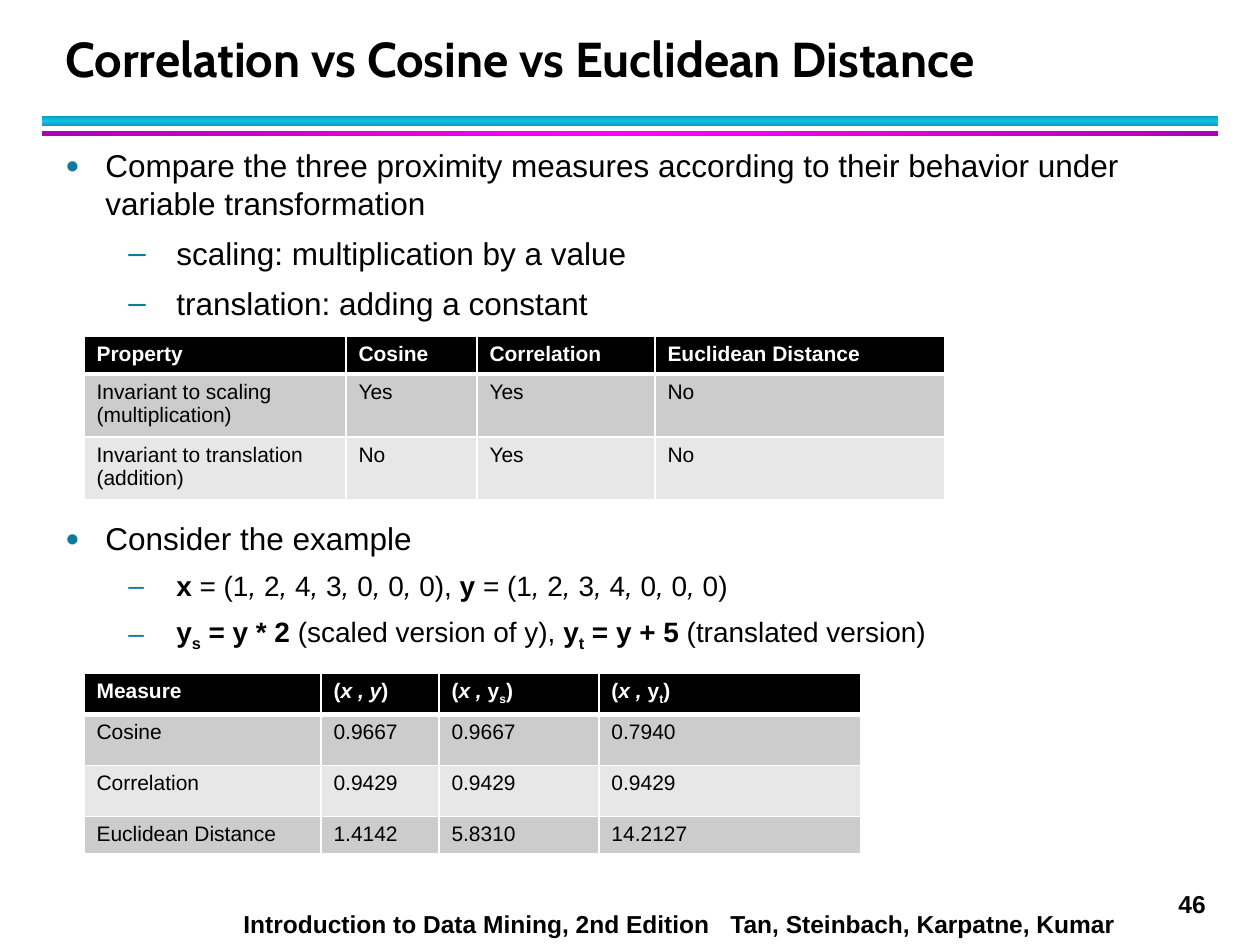
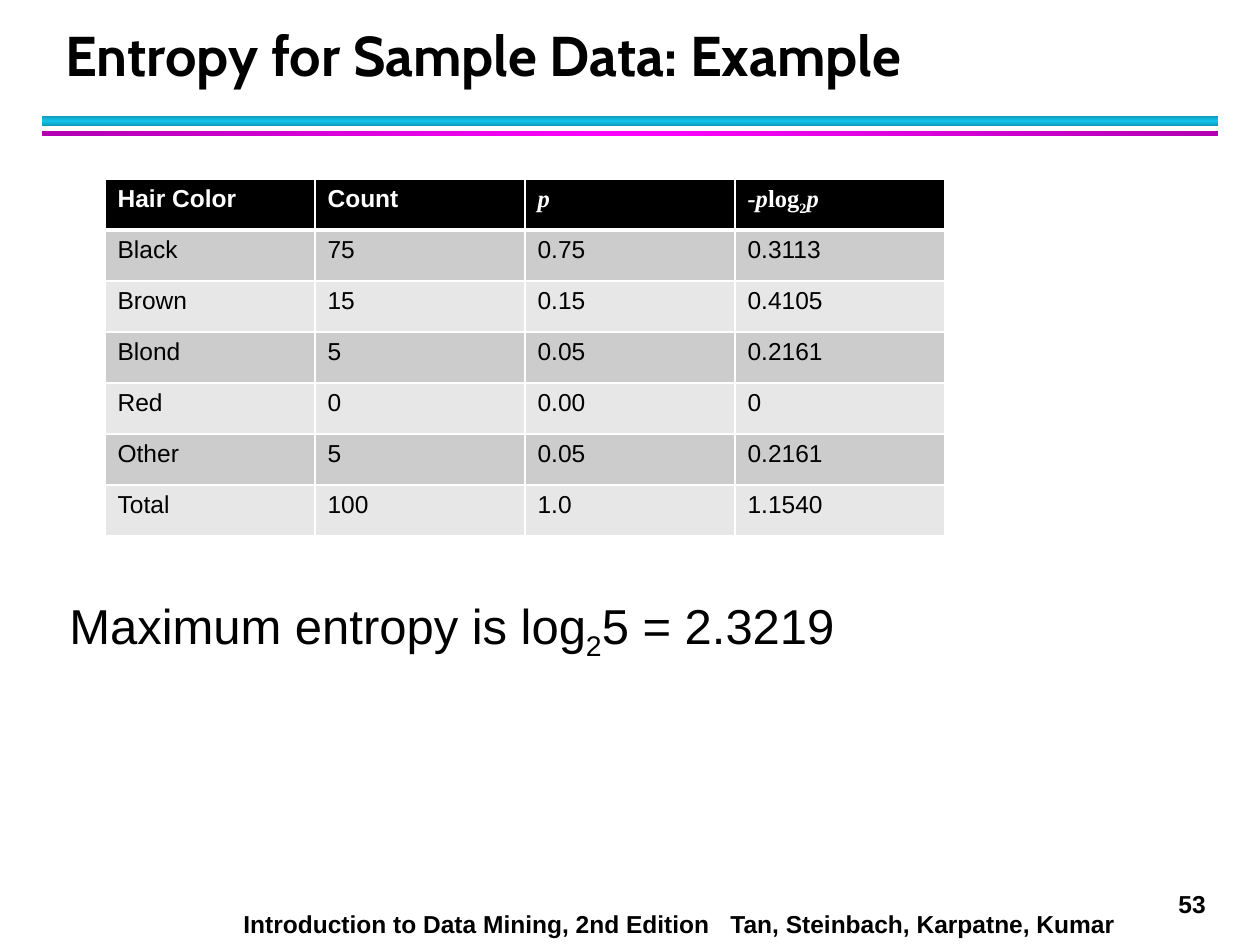
from copy import deepcopy
from dataclasses import dataclass
from typing import NamedTuple, Optional, Union

from lxml import etree
from pptx import Presentation
from pptx import util as u
from pptx.dml.color import RGBColor
from pptx.enum import shapes, text
from pptx.oxml.ns import qn

PX_PER_INCH = 126


def px(length: int) -> u.Emu:
    return u.Emu(round(length * 914400 / PX_PER_INCH))


@dataclass(frozen=True)
class Theme:
    ink: str = "000000"
    paper: str = "FFFFFF"
    bullet: str = "0C7B9C"
    bands: tuple = ("CCCCCC", "E7E7E7")
    cyan: tuple = ("0E9BBA", "12C2E9", "0E9BBA")
    magenta: tuple = ("B200B2", "FF00FF", "B200B2")
    body_font: str = "Arial"
    title_font: str = "Cabin"
    math_font: str = "Times New Roman"
    footer_size: int = 14
    title_leading: int = 36
    rule: int = 1
    header_rule: int = 3


THEME = Theme()


class Box(NamedTuple):
    left: int
    top: int
    width: int
    height: int

    def emu(self) -> list:
        return [px(length) for length in self]


class Run(NamedTuple):
    text: str
    bold: bool = False
    italic: bool = False
    sub: bool = False
    font: Optional[str] = None


Rich = Union[str, tuple]


class Stripe(NamedTuple):
    box: Box
    colors: tuple
    angle: int


class Level(NamedTuple):
    indent: int
    hanging: int
    mark: str
    mark_percent: int


class Point(NamedTuple):
    level: Level
    content: Rich
    size: int = 18


@dataclass(frozen=True)
class Grid:
    left: int
    top: int
    columns: tuple
    rows: tuple
    size: int
    cells: tuple


STRIPES = (
    Stripe(Box(42, 116, 1176, 10), THEME.cyan, 90),
    Stripe(Box(42, 131, 1176, 5), THEME.magenta, 0),
)
TITLE = Box(53, 21, 1142, 73)
PAGE_NUMBER = Box(1166, 883, 55, 43)
FOOTER = Box(231, 903, 924, 43)
AUTHORS_TAB = 487
BEFORE, AFTER = 5, 7

TOPIC = Level(40, 40, "●", 75)
DETAIL = Level(111, 48, "–", 100)


def write(paragraph, content: Rich, *, size: int, color: str = THEME.ink,
          font: str = THEME.body_font, bold: bool = False) -> None:
    """Add plain text or a tuple of Runs to a paragraph."""
    parts = (Run(content),) if isinstance(content, str) else content
    for part in parts:
        run = paragraph.add_run()
        run.text = part.text
        run.font.size = u.Pt(size)
        run.font.name = part.font or font
        run.font.bold = bold or part.bold
        run.font.italic = part.italic
        run.font.color.rgb = RGBColor.from_string(color)
        if part.sub:
            run.font._element.set("baseline", "-25000")


def add_box(slide, box: Box, wrap: bool = True):
    frame = slide.shapes.add_textbox(*box.emu()).text_frame
    frame.word_wrap = wrap
    return frame


def add_stripe(slide, stripe: Stripe) -> None:
    bar = slide.shapes.add_shape(shapes.MSO_SHAPE.RECTANGLE, *stripe.box.emu())
    bar.shadow.inherit = False
    bar.line.fill.background()
    bar.fill.gradient()
    bar.fill.gradient_angle = stripe.angle
    stops = bar._element.spPr.find(".//" + qn("a:gsLst"))
    stops.append(deepcopy(stops[0]))
    for index, (stop, color) in enumerate(zip(bar.fill.gradient_stops, stripe.colors)):
        stop.position = index / 2
        stop.color.rgb = RGBColor.from_string(color)


def add_footer(slide, number: int) -> None:
    page = add_box(slide, PAGE_NUMBER, wrap=False).paragraphs[0]
    write(page, str(number), size=THEME.footer_size, bold=True)
    credit = add_box(slide, FOOTER).paragraphs[0]
    tabs = etree.SubElement(credit._p.get_or_add_pPr(), qn("a:tabLst"))
    etree.SubElement(tabs, qn("a:tab"), pos=str(px(AUTHORS_TAB)), algn="l")
    write(credit, "Introduction to Data Mining, 2nd Edition\tTan, Steinbach, Karpatne, Kumar",
          size=THEME.footer_size, bold=True)


def new_slide(deck, title: str, title_size: int, number: int):
    """Add a slide with the shared title, stripes and footer."""
    slide = deck.slides.add_slide(deck.slide_layouts[6])
    for stripe in STRIPES:
        add_stripe(slide, stripe)
    add_footer(slide, number)
    frame = add_box(slide, TITLE)
    frame.vertical_anchor = text.MSO_ANCHOR.BOTTOM
    heading = frame.paragraphs[0]
    heading.line_spacing = u.Pt(THEME.title_leading)
    write(heading, title, size=title_size, font=THEME.title_font, bold=True)
    return slide


def set_bullet(paragraph, level: Level) -> None:
    properties = paragraph._p.get_or_add_pPr()
    properties.set("marL", str(px(level.indent)))
    properties.set("indent", str(px(-level.hanging)))
    color = etree.SubElement(properties, qn("a:buClr"))
    etree.SubElement(color, qn("a:srgbClr"), val=THEME.bullet)
    etree.SubElement(properties, qn("a:buSzPct"), val=str(level.mark_percent * 1000))
    etree.SubElement(properties, qn("a:buFont"), typeface=THEME.body_font)
    etree.SubElement(properties, qn("a:buChar"), char=level.mark)


def add_points(slide, box: Box, points: tuple) -> None:
    frame = add_box(slide, box)
    for index, point in enumerate(points):
        paragraph = frame.add_paragraph() if index else frame.paragraphs[0]
        set_bullet(paragraph, point.level)
        if index:
            paragraph.space_before = px(BEFORE)
        paragraph.space_after = px(AFTER)
        write(paragraph, point.content, size=point.size)


def set_borders(cell, row: int) -> None:
    widths = {
        "L": THEME.rule,
        "R": THEME.rule,
        "T": THEME.header_rule if row == 1 else THEME.rule,
        "B": THEME.header_rule if row == 0 else THEME.rule,
    }
    properties = cell._tc.get_or_add_tcPr()
    for side, width in widths.items():
        line = etree.SubElement(properties, qn(f"a:ln{side}"), w=str(u.Pt(width)))
        fill = etree.SubElement(line, qn("a:solidFill"))
        etree.SubElement(fill, qn("a:srgbClr"), val=THEME.paper)


def add_grid(slide, grid: Grid) -> None:
    box = Box(grid.left, grid.top, sum(grid.columns), sum(grid.rows))
    table = slide.shapes.add_table(len(grid.rows), len(grid.columns), *box.emu()).table
    for column, width in zip(table.columns, grid.columns):
        column.width = px(width)
    for row, height in zip(table.rows, grid.rows):
        row.height = px(height)
    for r, contents in enumerate(grid.cells):
        header = r == 0
        for c, content in enumerate(contents):
            cell = table.cell(r, c)
            set_borders(cell, r)
            cell.fill.solid()
            shade = THEME.ink if header else THEME.bands[(r - 1) % 2]
            cell.fill.fore_color.rgb = RGBColor.from_string(shade)
            write(cell.text_frame.paragraphs[0], content, size=grid.size, bold=header,
                  color=THEME.paper if header else THEME.ink)


def vector(name: str, values: str, ending: str = "") -> tuple:
    """Runs for a named vector, with italic commas between upright digits."""
    first, *rest = values
    runs = [Run(f"{name} ", bold=True), Run(f"= ({first}")]
    for value in rest:
        runs += [Run(", ", italic=True), Run(value)]
    return (*runs, Run(f"){ending}"))


def derived(subscript: str, formula: str, meaning: str) -> tuple:
    return (Run("y", bold=True), Run(subscript, bold=True, sub=True),
            Run(f" = {formula} ", bold=True), Run(meaning))


def pair_with(subscript: str) -> tuple:
    return (Run("("), Run("x , ", italic=True), Run("y"), Run(subscript, sub=True), Run(")"))


def math(content: str, italic: bool = True, sub: bool = False) -> Run:
    return Run(content, italic=italic, sub=sub, font=THEME.math_font)


TRANSFORMATIONS = (
    Point(TOPIC, "Compare the three proximity measures according to their behavior "
                 "under variable transformation"),
    Point(DETAIL, "scaling: multiplication by a value"),
    Point(DETAIL, "translation: adding a constant"),
)
EXAMPLE = (
    Point(TOPIC, "Consider the example"),
    Point(DETAIL, vector("x", "1243000", ", ") + vector("y", "1234000"), 16),
    Point(DETAIL, derived("s", "y * 2", "(scaled version of y), ")
          + derived("t", "y + 5", "(translated version)"), 16),
)
INVARIANCE = Grid(84, 336, (262, 131, 178, 290), (36, 60, 59), 12, (
    ("Property", "Cosine", "Correlation", "Euclidean Distance"),
    ("Invariant to scaling (multiplication)", "Yes", "Yes", "No"),
    ("Invariant to translation (addition)", "No", "Yes", "No"),
))
MEASURES = Grid(84, 673, (237, 118, 160, 262), (39, 51, 51, 36), 12, (
    ("Measure", (Run("("), Run("x , y", italic=True), Run(")")),
     pair_with("s"), pair_with("t")),
    ("Cosine", "0.9667", "0.9667", "0.7940"),
    ("Correlation", "0.9429", "0.9429", "0.9429"),
    ("Euclidean Distance", "1.4142", "5.8310", "14.2127"),
))
HAIR = Grid(105, 179, (210,) * 4, (51,) * 7, 14, (
    ("Hair Color", "Count", (math("p"),),
     (math("-p"), math("log", italic=False), math("2", italic=False, sub=True), math("p"))),
    ("Black", "75", "0.75", "0.3113"),
    ("Brown", "15", "0.15", "0.4105"),
    ("Blond", "5", "0.05", "0.2161"),
    ("Red", "0", "0.00", "0"),
    ("Other", "5", "0.05", "0.2161"),
    ("Total", "100", "1.0", "1.1540"),
))


def build_comparison(deck) -> None:
    slide = new_slide(deck, "Correlation vs Cosine vs Euclidean Distance", 28, 46)
    add_points(slide, Box(53, 140, 1147, 190), TRANSFORMATIONS)
    add_points(slide, Box(53, 513, 1147, 150), EXAMPLE)
    add_grid(slide, INVARIANCE)
    add_grid(slide, MEASURES)


def build_entropy(deck) -> None:
    slide = new_slide(deck, "Entropy for Sample Data: Example", 32, 53)
    maximum = add_box(slide, Box(57, 589, 1147, 80)).paragraphs[0]
    write(maximum, (Run("Maximum entropy is log"), Run("2", sub=True), Run("5 = 2.3219")), size=28)
    add_grid(slide, HAIR)


def main() -> None:
    deck = Presentation()
    deck.slide_width, deck.slide_height = px(1260), px(945)
    build_comparison(deck)
    build_entropy(deck)
    deck.save("out.pptx")


if __name__ == "__main__":
    main()
